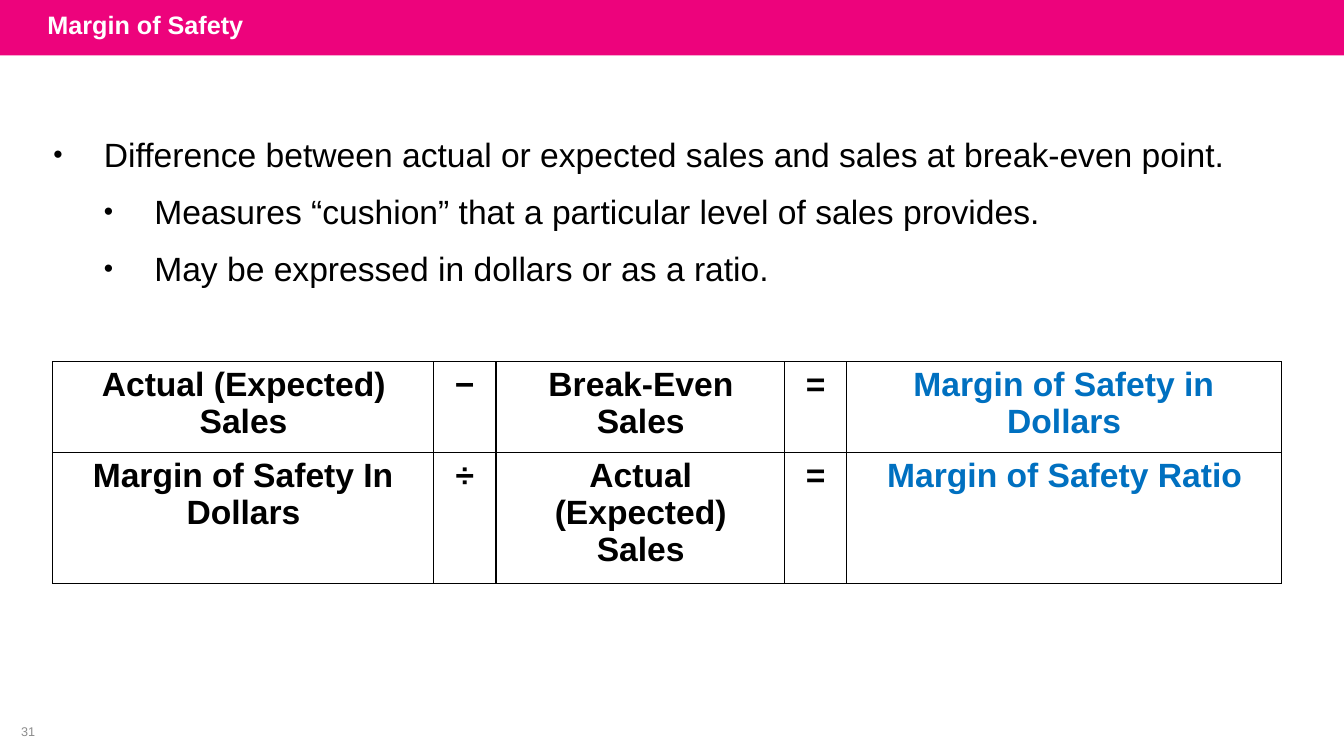
from dataclasses import dataclass
from lxml import etree
from pptx import Presentation
from pptx.dml.color import RGBColor
from pptx.enum.shapes import MSO_SHAPE
from pptx.enum.text import MSO_ANCHOR, PP_ALIGN
from pptx.oxml.ns import qn
from pptx.util import Inches, Pt

RECTANGLE = MSO_SHAPE.RECTANGLE
MIDDLE, TOP = MSO_ANCHOR.MIDDLE, MSO_ANCHOR.TOP
LEFT, CENTER = PP_ALIGN.LEFT, PP_ALIGN.CENTER


@dataclass(frozen=True)
class Theme:
    font: str = "Arial"
    band: str = "ED037C"
    white: str = "FFFFFF"
    ink: str = "000000"
    result: str = "0070C0"
    muted: str = "8C8C8C"
    title_size: int = 18
    body_size: int = 24
    number_size: int = 9


THEME = Theme()

POINTS = [
    ("Difference between actual or expected sales and sales at break-even point.", 0),
    ("Measures “cushion” that a particular level of sales provides.", 1),
    ("May be expressed in dollars or as a ratio.", 1),
]
COLUMN_WIDTHS = [3.78, 0.62, 2.86, 0.62, 4.31]
ROW_HEIGHTS = [0.9, 1.3]
CENTERED = {"align": CENTER}
FORMULAS = [
    [
        ("Actual (Expected) Sales", {"margin": 1.46, "indent": -0.97}),
        ("−", CENTERED),
        ("Break-Even Sales", {"margin": 1, "indent": -0.48}),
        ("=", CENTERED),
        ("Margin of Safety in Dollars",
         {"margin": 1.59, "indent": -0.93, "color": THEME.result}),
    ],
    [
        ("Margin of Safety In Dollars", {"margin": 1.33, "indent": -0.93}),
        ("÷", CENTERED),
        ("Actual (Expected) Sales",
         {"align": CENTER, "margin": 0.58, "right_margin": 0.57}),
        ("=", CENTERED),
        ("Margin of Safety Ratio", {"margin": 0.4, "color": THEME.result}),
    ],
]


def write_text(para, text, size=THEME.body_size, color=THEME.ink, bold=False,
               align=LEFT, margin=0, indent=0, right_margin=0, before=0,
               bullet=None):
    properties = para._p.get_or_add_pPr()
    properties.set("marL", str(Inches(margin)))
    properties.set("marR", str(Inches(right_margin)))
    properties.set("indent", str(Inches(indent)))
    if bullet:
        etree.SubElement(properties, qn("a:buSzPct")).set("val", "79000")
        etree.SubElement(properties, qn("a:buFont")).set("typeface", THEME.font)
        etree.SubElement(properties, qn("a:buChar")).set("char", bullet)
    else:
        etree.SubElement(properties, qn("a:buNone"))
    para.alignment = align
    para.space_before = Pt(before)
    span = para.add_run()
    span.text = text
    span.font.name = THEME.font
    span.font.size = Pt(size)
    span.font.bold = bold
    span.font.color.rgb = RGBColor.from_string(color)


def add_text_box(page, left, top, width, height, anchor=TOP, top_inset=0):
    box = page.shapes.add_textbox(
        Inches(left), Inches(top), Inches(width), Inches(height))
    frame = box.text_frame
    frame.word_wrap = True
    frame.vertical_anchor = anchor
    frame.margin_left = frame.margin_right = frame.margin_bottom = 0
    frame.margin_top = Inches(top_inset)
    return frame


def add_header(page, left, top, width, height):
    title = page.shapes.title
    band = page.shapes.add_shape(
        RECTANGLE, Inches(left), Inches(top), Inches(width), Inches(height))
    band.shadow.inherit = False
    band.fill.solid()
    band.fill.fore_color.rgb = RGBColor.from_string(THEME.band)
    band.line.fill.background()
    title._element.addprevious(band._element)
    title.left, title.top = Inches(left + 0.37), Inches(top - 0.03)
    title.width, title.height = Inches(10.5), Inches(height)
    title.text_frame.word_wrap = True
    title.text_frame.vertical_anchor = MIDDLE
    write_text(title.text_frame.paragraphs[0], "Margin of Safety",
               size=THEME.title_size, color=THEME.white, bold=True)


def add_points(page, left, top, width, height):
    frame = add_text_box(page, left, top, width, height, top_inset=0.18)
    for index, (text, level) in enumerate(POINTS):
        para = frame.paragraphs[0] if index == 0 else frame.add_paragraph()
        para.level = level
        write_text(para, text, margin=0.51 + 0.5 * level, indent=-0.5,
                   before=12 if index else 0, bullet="•")


def add_borders(cell):
    properties = cell._tc.get_or_add_tcPr()
    for position, side in enumerate(("a:lnL", "a:lnR", "a:lnT", "a:lnB")):
        line = etree.Element(qn(side), w=str(Pt(1)))
        fill = etree.SubElement(line, qn("a:solidFill"))
        etree.SubElement(fill, qn("a:srgbClr")).set("val", THEME.ink)
        properties.insert(position, line)


def add_formulas(page, left, top):
    table = page.shapes.add_table(
        len(ROW_HEIGHTS), len(COLUMN_WIDTHS), Inches(left), Inches(top),
        Inches(sum(COLUMN_WIDTHS)), Inches(sum(ROW_HEIGHTS))).table
    table.first_row = table.horz_banding = False
    for column, width in zip(table.columns, COLUMN_WIDTHS):
        column.width = Inches(width)
    for row, height, formula in zip(table.rows, ROW_HEIGHTS, FORMULAS):
        row.height = Inches(height)
        for cell, (text, layout) in zip(row.cells, formula):
            cell.fill.background()
            cell.margin_left = cell.margin_right = cell.margin_bottom = 0
            cell.margin_top = Inches(0.04)
            add_borders(cell)
            write_text(cell.text_frame.paragraphs[0], text, bold=True, **layout)


def add_page_number(page, left, top, width, height):
    frame = add_text_box(page, left, top, width, height, anchor=MIDDLE)
    write_text(frame.paragraphs[0], "31", size=THEME.number_size,
               color=THEME.muted, align=CENTER, margin=0.04)


def main():
    deck = Presentation()
    deck.slide_width, deck.slide_height = Inches(13.33), Inches(7.5)
    page = deck.slides.add_slide(deck.slide_layouts[5])
    add_header(page, 0, 0, 13.33, 0.55)
    add_page_number(page, 0, 7.14, 0.52, 0.24)
    add_points(page, 0.52, 1.15, 11.75, 1.72)
    add_formulas(page, 0.52, 3.59)
    deck.save("out.pptx")


if __name__ == "__main__":
    main()
